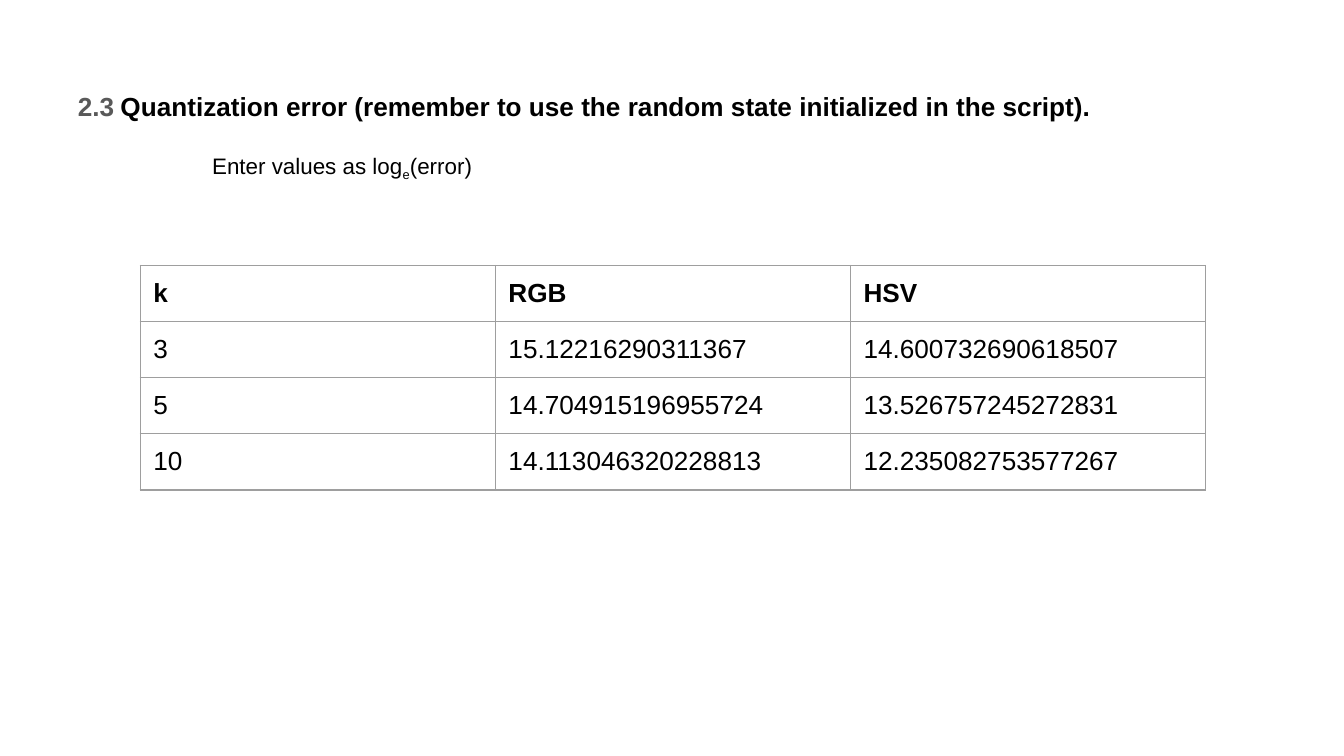
from lxml.etree import SubElement
from pptx import Presentation
from pptx.dml.color import RGBColor
from pptx.enum.text import MSO_ANCHOR, MSO_AUTO_SIZE, PP_ALIGN
from pptx.oxml import parse_xml
from pptx.oxml.ns import nsdecls, qn
from pptx.util import Cm, Pt

COLOURS = {"text": "000000", "number": "595959", "border": "9E9E9E"}
ERRORS = [
    ("k", "RGB", "HSV"),
    ("3", "15.12216290311367", "14.600732690618507"),
    ("5", "14.704915196955724", "13.526757245272831"),
    ("10", "14.113046320228813", "12.235082753577267"),
]


class SlideBuilder:
    font_name = "Arial"
    heading_size = Pt(14)
    note_size = Pt(12)
    inset = Cm(0.25)
    border_width = Pt(0.75)

    def __init__(self, presentation):
        self.slide = presentation.slides.add_slide(presentation.slide_layouts[5])

    def style(self, font, size, bold=False, colour="text"):
        font.name = self.font_name
        font.size = size
        font.bold = bold
        font.color.rgb = RGBColor.from_string(COLOURS[colour])

    def set_insets(self, target):
        target.margin_left = target.margin_right = self.inset
        target.margin_top = target.margin_bottom = self.inset

    def prepare_frame(self, shape):
        """Set the frame's layout and return its first paragraph."""
        frame = shape.text_frame
        self.set_insets(frame)
        frame.word_wrap = True
        frame.auto_size = MSO_AUTO_SIZE.NONE
        frame.vertical_anchor = MSO_ANCHOR.TOP
        paragraph = frame.paragraphs[0]
        paragraph.alignment = PP_ALIGN.LEFT
        return paragraph

    def add_title(self, number, text, left, top, width, height):
        title = self.slide.shapes.title
        title.left, title.top, title.width, title.height = left, top, width, height
        paragraph = self.prepare_frame(title)
        for content, size, bold, colour in (
            (number, self.heading_size, True, "number"),
            (" ", self.note_size, False, "text"),
            (text, self.heading_size, True, "text"),
        ):
            run = paragraph.add_run()
            run.text = content
            self.style(run.font, size, bold, colour)

    def add_note(self, before, subscript, after, left, top, width, height):
        box = self.slide.shapes.add_textbox(left, top, width, height)
        paragraph = self.prepare_frame(box)
        self.style(paragraph.font, self.note_size)
        for content in (before, subscript, after):
            run = paragraph.add_run()
            run.text = content
            self.style(run.font, self.note_size)
            if content == subscript:
                run.font._element.set("baseline", "-25000")

    def add_table(self, rows, left, top, column_width, row_height):
        row_count, column_count = len(rows), len(rows[0])
        table = self.slide.shapes.add_table(
            row_count, column_count, left, top,
            column_width * column_count, row_height * row_count,
        ).table
        table.first_row = table.horz_banding = False
        for column in table.columns:
            column.width = column_width
        for row_index, values in enumerate(rows):
            table.rows[row_index].height = row_height
            for column_index, value in enumerate(values):
                cell = table.cell(row_index, column_index)
                cell.text = value
                cell.fill.background()
                self.set_insets(cell)
                self.style(cell.text_frame.paragraphs[0].font,
                           self.heading_size, bold=row_index == 0)
                self.add_borders(cell)

    def add_borders(self, cell):
        properties = cell._tc.get_or_add_tcPr()
        for index, side in enumerate(("lnL", "lnR", "lnT", "lnB")):
            line = parse_xml(f'<a:{side} {nsdecls("a")} w="{self.border_width}"/>')
            fill = SubElement(line, qn("a:solidFill"))
            SubElement(fill, qn("a:srgbClr"), val=COLOURS["border"])
            properties.insert(index, line)


def main():
    presentation = Presentation()
    presentation.slide_width = Cm(25.4)
    presentation.slide_height = Cm(14.29)

    builder = SlideBuilder(presentation)
    builder.add_title(
        "2.3",
        "Quantization error (remember to use the random state initialized in the script).",
        Cm(1.22), Cm(1.45), Cm(22.3), Cm(1.1),
    )
    builder.add_note("Enter values as log", "e", "(error)",
                     Cm(3.76), Cm(2.62), Cm(19.76), Cm(1))
    builder.add_table(ERRORS, Cm(2.65), Cm(5.02), Cm(6.71), Cm(1.06))
    presentation.save("out.pptx")


if __name__ == "__main__":
    main()
